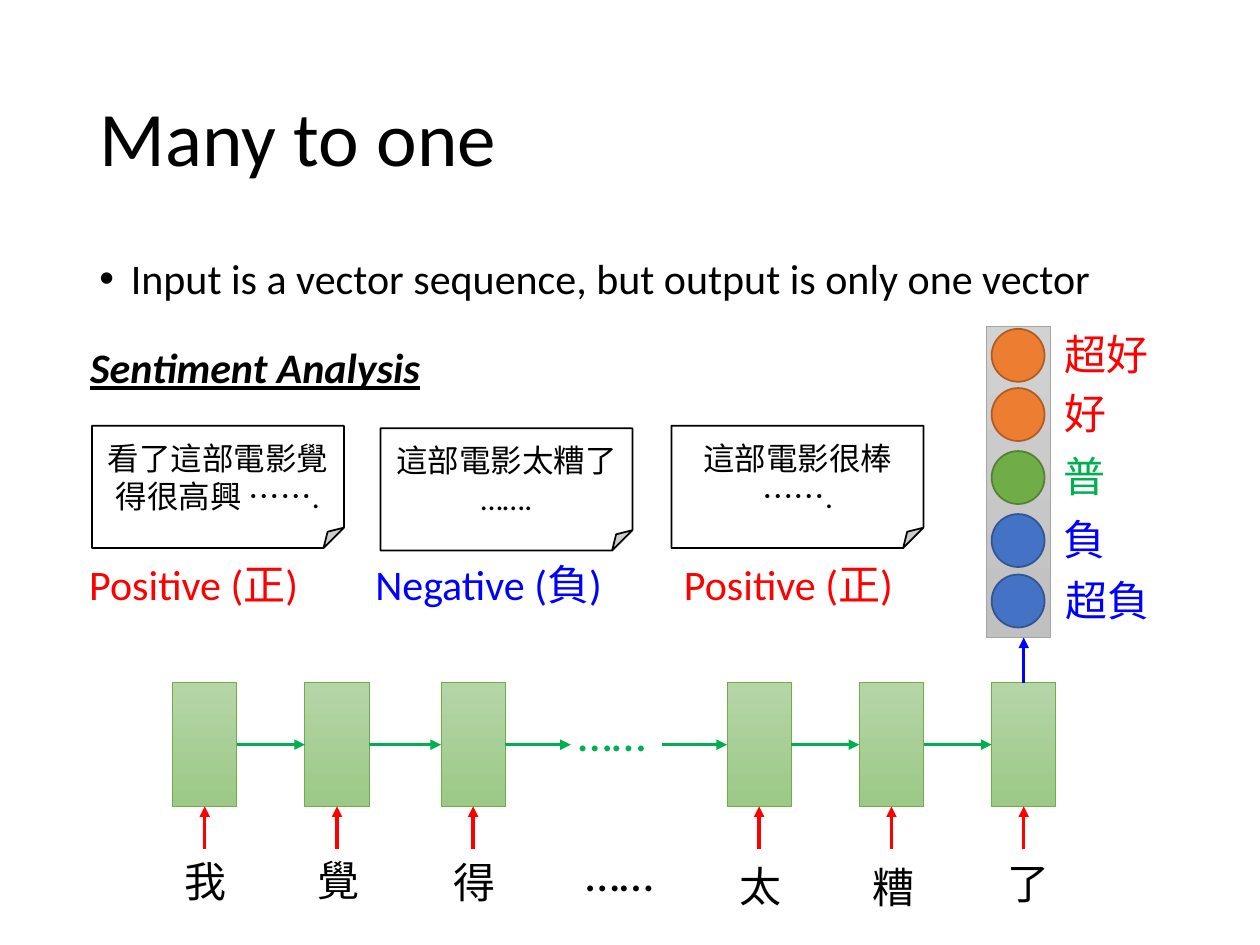
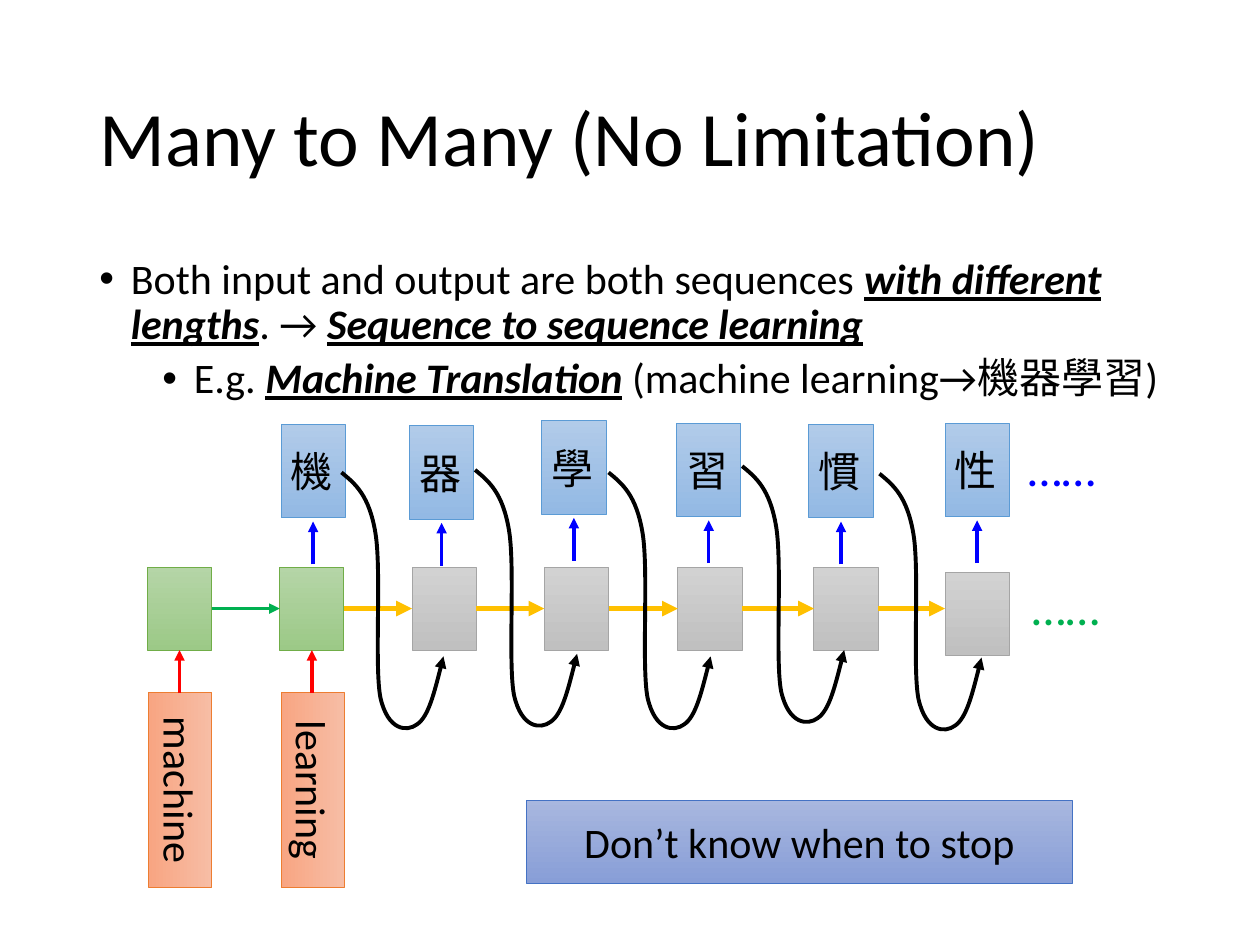
from lxml import etree
from pptx import Presentation
from pptx.dml.color import RGBColor
from pptx.enum.shapes import MSO_CONNECTOR, MSO_SHAPE
from pptx.enum.text import MSO_ANCHOR, PP_ALIGN
from pptx.oxml.ns import qn
from pptx.util import Inches, Pt

STRAIGHT = MSO_CONNECTOR.STRAIGHT
RECTANGLE, OVAL, FOLDED = MSO_SHAPE.RECTANGLE, MSO_SHAPE.OVAL, MSO_SHAPE.FOLDED_CORNER
LEFT, CENTER = PP_ALIGN.LEFT, PP_ALIGN.CENTER
TOP, MIDDLE = MSO_ANCHOR.TOP, MSO_ANCHOR.MIDDLE
TOP_SIDE, LEFT_SIDE, BOTTOM_SIDE, RIGHT_SIDE = range(4)

FONT = "Calibri"
BLACK, WHITE = "000000", "FFFFFF"
RED, BLUE, GREEN, GOLD = "FF0000", "0000FF", "00B050", "FFC000"
GREEN_CELL = ("B5D5A7", "9CC987", "70AD47")
GRAY_CELL = ("D2D2D2", "C0C0C0", "A5A5A5")
BLUE_CELL = ("B1CBE9", "93B9E4", "5B9BD5")
ORANGE_CELL = ("F7BDA5", "F8A582", "ED7D31")
INDIGO_CELL = ("A8B7DF", "889ED7", "4472C4")
ELLIPSIS = "……"
CELL_WIDTH = 0.51


def rgb(value):
    return RGBColor.from_string(value)


def set_font(font, size, color=BLACK):
    font.name = FONT
    font.size = Pt(size)
    font.color.rgb = rgb(color)


def set_emphasis(font):
    font.bold = font.italic = font.underline = True


def write(shape, lines, size, color=BLACK, align=CENTER, anchor=MIDDLE):
    frame = shape.text_frame
    frame.text = lines
    frame.vertical_anchor = anchor
    for paragraph in frame.paragraphs:
        paragraph.alignment = align
        set_font(paragraph.font, size, color)
    return frame


def add_label(slide, box, text, color=BLACK, size=24, wrap=False, align=LEFT):
    shape = slide.shapes.add_textbox(*map(Inches, box))
    frame = write(shape, text, size, color, align, TOP)
    frame.word_wrap = wrap
    return frame


def add_block(slide, kind, box, fill, line, width):
    shape = slide.shapes.add_shape(kind, *map(Inches, box))
    shape.shadow.inherit = False
    shape.fill.solid()
    shape.fill.fore_color.rgb = rgb(fill)
    shape.line.color.rgb = rgb(line)
    shape.line.width = Pt(width)
    return shape


def add_cell(slide, box, palette):
    start, end, line = palette
    cell = add_block(slide, RECTANGLE, box, start, line, 0.5)
    cell.fill.gradient()
    cell.fill.gradient_angle = 270
    for stop, color in zip(cell.fill.gradient_stops, (start, end)):
        stop.color.rgb = rgb(color)
    return cell


def add_arrowhead(shape):
    outline = shape._element.spPr.find(qn("a:ln"))
    etree.SubElement(outline, qn("a:tailEnd"), type="triangle")


def add_arrow(slide, start, end, color, width=2):
    arrow = slide.shapes.add_connector(STRAIGHT, *map(int, (*start, *end)))
    arrow.line.color.rgb = rgb(color)
    arrow.line.width = Pt(width)
    add_arrowhead(arrow)
    etree.SubElement(arrow._element.spPr, qn("a:effectLst"))
    return arrow


def add_arrow_right(slide, cell, next_cell, color, width=2):
    middle = cell.top + cell.height // 2
    start, end = (cell.left + cell.width, middle), (next_cell.left, middle)
    arrow = add_arrow(slide, start, end, color, width)
    arrow.begin_connect(cell, RIGHT_SIDE)
    if cell.top == next_cell.top:
        arrow.end_connect(next_cell, LEFT_SIDE)


def add_arrow_into_bottom(slide, cell, length):
    center, bottom = cell.left + cell.width // 2, cell.top + cell.height
    arrow = add_arrow(slide, (center, bottom + Inches(length)), (center, bottom), RED)
    arrow.end_connect(cell, BOTTOM_SIDE)


def add_titled_slide(presentation, title, points):
    slide = presentation.slides.add_slide(presentation.slide_layouts[5])
    heading = slide.shapes.title
    heading.left, heading.top, heading.width, heading.height = map(
        Inches, (0.69, 0.4, 8.62, 1.45))
    write(heading, title, 44, align=LEFT)
    heading.text_frame.paragraphs[0].line_spacing = 0.9

    frame = add_label(slide, (0.69, 2, 8.62, 4.76), "", wrap=True)
    for index, (level, runs) in enumerate(points):
        paragraph = frame.add_paragraph() if index else frame.paragraphs[0]
        paragraph.level = level
        paragraph.line_spacing = 0.9
        if index:
            paragraph.space_before = Pt(5)
        properties = paragraph._p.get_or_add_pPr()
        properties.set("marL", str(Inches(0.25 + 0.5 * level)))
        properties.set("indent", str(Inches(-0.25)))
        for old in properties.findall(qn("a:defRPr")):
            properties.remove(old)
        etree.SubElement(properties, qn("a:buFont"), typeface="Arial")
        etree.SubElement(properties, qn("a:buChar"), char="•")
        set_font(paragraph.font, 24)
        for text, emphasised in runs:
            run = paragraph.add_run()
            run.text = text
            if emphasised:
                set_emphasis(run.font)
    return slide


def add_reviews(slide, left, top):
    reviews = (
        (0, 0, "看了這部電影覺得很高興 …….", -0.12, "Positive (正)", RED),
        (2.29, 0.02, "這部電影太糟了\n…….", -0.14, "Negative (負)", BLUE),
        (4.6, 0, "這部電影很棒 …….", 0, "Positive (正)", RED),
    )
    for offset, drop, review, shift, verdict, color in reviews:
        x = left + offset
        note = add_block(slide, FOLDED, (x, top + drop, 2, 0.97), WHITE, BLACK, 1)
        write(note, review, 18)
        add_label(slide, (x + shift, top + 1, 2.35, 0.5), verdict, color, wrap=True)


def add_rating_vector(slide, left, top):
    ratings = (
        (0.02, "超好", 0.52, RED, "ED7D31", "AF5C24"),
        (0.49, "好", 0.52, RED, "ED7D31", "AF5C24"),
        (0.99, "普", 0.51, GREEN, "70AD47", "538035"),
        (1.49, "負", 0.51, BLUE, "4472C4", "325491"),
        (1.97, "超負", 0.53, BLUE, "4472C4", "325491"),
    )
    add_cell(slide, (left, top, CELL_WIDTH, 2.47), GRAY_CELL)
    for drop, rating, shift, color, fill, line in ratings:
        y = top + drop
        add_block(slide, OVAL, (left + 0.04, y, 0.42, 0.42), fill, line, 1)
        width = 0.2 + 0.34 * len(rating)
        add_label(slide, (left + shift, y - 0.05, width, 0.5), rating, color)


def add_sentence_chain(slide, left, top):
    words = ((0, "我", 0, 1.32), (1.05, "覺", 0, 1.31), (2.13, "得", 0, 1.33),
             (4.4, "太", 0, 1.36), (5.45, "糟", 0.01, 1.37), (6.5, "了", 0.03, 1.34))
    cells = []
    for offset, word, shift, drop in words:
        x = left + offset
        cell = add_cell(slide, (x, top, CELL_WIDTH, 0.98), GREEN_CELL)
        add_arrow_into_bottom(slide, cell, 0.34)
        add_label(slide, (x + shift, top + drop, 0.54, 0.5), word)
        cells.append(cell)
    before, after = cells[:3], cells[3:]
    for group in (before, after):
        for cell, next_cell in zip(group, group[1:]):
            add_arrow_right(slide, cell, next_cell, GREEN)

    middle = Inches(top + 0.49)
    gap_start, gap_end = before[-1].left + before[-1].width, after[0].left
    reach = Inches(0.52)
    leaving = add_arrow(slide, (gap_start, middle), (gap_start + reach, middle), GREEN)
    leaving.begin_connect(before[-1], RIGHT_SIDE)
    arriving = add_arrow(slide, (gap_end - reach, middle), (gap_end, middle), GREEN)
    arriving.end_connect(after[0], LEFT_SIDE)
    add_label(slide, (left + 3.12, top + 0.11, 1.21, 0.57), ELLIPSIS, GREEN, 28, True)
    add_label(slide, (left + 3.18, top + 1.22, 1.21, 0.57), ELLIPSIS, BLACK, 28, True)

    last = cells[-1]
    center = last.left + last.width // 2
    output = add_arrow(slide, (center, last.top), (center, last.top - Inches(0.36)), BLUE)
    output.begin_connect(last, TOP_SIDE)


def build_many_to_one(presentation):
    point = "Input is a vector sequence, but output is only one vector"
    slide = add_titled_slide(presentation, "Many to one", [(0, [(point, False)])])
    frame = add_label(slide, (0.54, 2.66, 2.97, 0.5), "Sentiment Analysis",
                      wrap=True, align=CENTER)
    set_emphasis(frame.paragraphs[0].font)
    add_reviews(slide, 0.73, 3.38)
    add_rating_vector(slide, 7.83, 2.59)
    add_sentence_chain(slide, 1.37, 5.42)


def add_feedback_curve(slide, left, top):
    bends = (
        ((0.11, 0.09), (0.22, 0.18), (0.27, 0.48)),
        ((0.32, 0.78), (0.26, 1.54), (0.31, 1.79)),
        ((0.37, 2.05), (0.52, 2.06), (0.6, 2)),
        ((0.69, 1.94), (0.75, 1.7), (0.81, 1.46)),
    )
    builder = slide.shapes.build_freeform(Inches(left), Inches(top))
    builder.add_line_segments(
        [(Inches(left + x), Inches(top + y)) for *_, (x, y) in bends], close=False)
    curve = builder.convert_to_shape()
    for segment, bend in zip(list(curve._element.iter(qn("a:lnTo"))), bends):
        cubic = etree.Element(qn("a:cubicBezTo"))
        for x, y in bend:
            etree.SubElement(cubic, qn("a:pt"), x=str(Inches(x)), y=str(Inches(y)))
        segment.getparent().replace(segment, cubic)
    curve.height = Inches(2.03)
    next(curve._element.iter(qn("a:path"))).set("h", str(curve.height))
    curve.shadow.inherit = False
    curve.fill.background()
    curve.line.color.rgb = rgb(BLACK)
    curve.line.width = Pt(2.25)
    add_arrowhead(curve)


def add_input_word(slide, center, middle, word):
    width, height = 1.55, 0.5
    box = (center - width / 2, middle - height / 2, width, height)
    shape = add_cell(slide, box, ORANGE_CELL)
    shape.rotation = 90
    write(shape, word, 24, anchor=TOP)


def add_translation_chain(slide, left, top):
    states = ((0, 0), (1.05, 0), (2.1, 0), (3.15, 0), (4.21, 0), (5.29, 0), (6.33, 0.04))
    cells = []
    for index, (offset, drop) in enumerate(states):
        palette = GREEN_CELL if index < 2 else GRAY_CELL
        box = (left + offset, top + drop, CELL_WIDTH, 0.66)
        cells.append(add_cell(slide, box, palette))

    for cell, offset, word in zip(cells, (0.26, 1.31), ("machine", "learning")):
        add_input_word(slide, left + offset, top + 1.77, word)
        add_arrow_into_bottom(slide, cell, 0.34)

    outputs = (("機", 1.06, -1.13), ("器", 2.08, -1.12), ("學", 3.13, -1.16),
               ("習", 4.2, -1.14), ("慣", 5.25, -1.13), ("性", 6.33, -1.14))
    for character, offset, rise in outputs:
        x, y = left + offset, top + rise
        add_cell(slide, (x, y, CELL_WIDTH, 0.74), BLUE_CELL)
        add_label(slide, (x - 0.1, y + 0.12, 0.69, 0.5), character, wrap=True, align=CENTER)
        center = Inches(x + CELL_WIDTH / 2)
        add_arrow(slide, (center, Inches(y + 1.11)), (center, Inches(y + 0.77)), BLUE)

    for index, (cell, next_cell) in enumerate(zip(cells, cells[1:])):
        color, width = (GOLD, 3) if index else (GREEN, 2)
        add_arrow_right(slide, cell, next_cell, color, width)

    add_label(slide, (left + 6.92, top + 0.03, 1.21, 0.57), ELLIPSIS, GREEN, 28, True)
    add_label(slide, (left + 6.89, top - 1.08, 1.21, 0.57), ELLIPSIS, BLUE, 28, True)
    curves = ((1.54, -0.75), (2.6, -0.77), (3.66, -0.75), (4.72, -0.8), (5.81, -0.74))
    for offset, rise in curves:
        add_feedback_curve(slide, left + offset, top + rise)


def build_many_to_many(presentation):
    slide = add_titled_slide(presentation, "Many to Many (No Limitation)", [
        (0, [("Both input and output are both sequences ", False),
             ("with different lengths", True), (". → ", False),
             ("Sequence to sequence learning", True)]),
        (1, [("E.g. ", False), ("Machine Translation", True),
             (" (machine learning→機器學習)", False)]),
    ])
    add_translation_chain(slide, 1.17, 4.5)
    warning = add_cell(slide, (4.18, 6.35, 4.33, 0.66), INDIGO_CELL)
    write(warning, "Don’t know when to stop", 24)


def main():
    presentation = Presentation()
    presentation.slide_width, presentation.slide_height = Inches(10), Inches(7.5)
    build_many_to_one(presentation)
    build_many_to_many(presentation)
    presentation.save("out.pptx")


if __name__ == "__main__":
    main()
